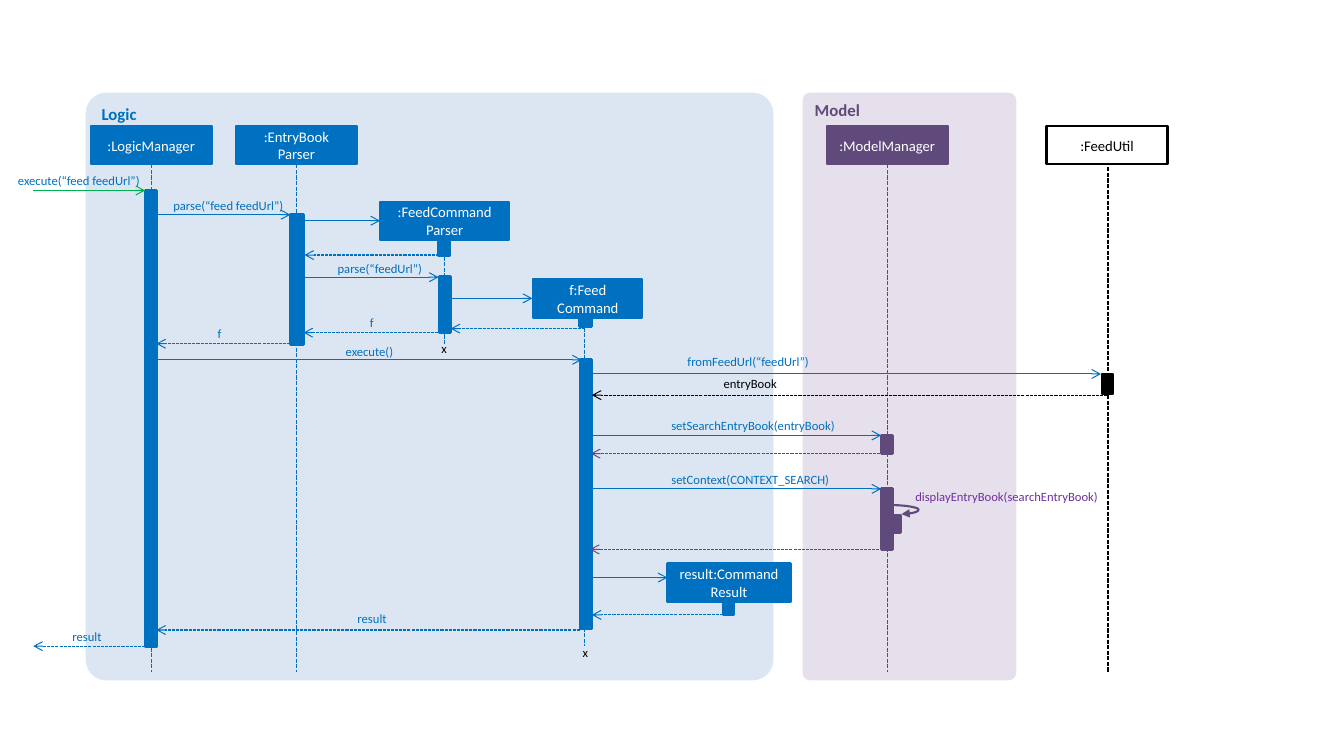
from lxml import etree
from pptx import Presentation, util as u
from pptx.dml.color import RGBColor
from pptx.enum import dml, shapes, text
from pptx.oxml.ns import qn

BLUE = RGBColor(0x00, 0x70, 0xC0)
PALE = RGBColor(0xDC, 0xE6, 0xF2)
PLUM = RGBColor(0x60, 0x4A, 0x7B)
LILAC = RGBColor(0xE6, 0xE0, 0xEC)
VIOLET = RGBColor(0x70, 0x30, 0xA0)
GREEN = RGBColor(0x00, 0xB0, 0x50)
BLACK = RGBColor(0, 0, 0)
WHITE = RGBColor(255, 255, 255)
INCH = 2.54  # centimetres per grid unit
LEFT, MID = text.PP_ALIGN.LEFT, text.PP_ALIGN.CENTER
RECT, ROUND = shapes.MSO_SHAPE.RECTANGLE, shapes.MSO_SHAPE.ROUNDED_RECTANGLE

deck = Presentation()
deck.slide_width, deck.slide_height = u.Cm(13.33 * INCH), u.Cm(7.5 * INCH)
slide = deck.slides.add_slide(deck.slide_layouts[6])


def put(at, words="", size=9, ink=BLUE, align=LEFT, kind=None, fill=None, edge=None, wide=0):
    """Add a filled shape, or a plain text box when no kind is given."""
    spot = [u.Cm(n * INCH) for n in at]
    if kind is None:
        item = slide.shapes.add_textbox(*spot)
    else:
        item = slide.shapes.add_shape(kind, *spot)
        item.shadow.inherit = False
        item.fill.solid()
        item.fill.fore_color.rgb = fill
        if edge is None:
            item.line.fill.background()
        else:
            item.line.color.rgb = edge
            item.line.width = u.Pt(wide)
    if words:
        frame = item.text_frame
        frame.word_wrap = True
        frame.text = words
        frame.vertical_anchor = text.MSO_ANCHOR.MIDDLE if kind == RECT else text.MSO_ANCHOR.TOP
        para = frame.paragraphs[0]
        para.alignment = align
        font = para.runs[0].font
        font.name, font.size, font.bold = "Calibri", u.Pt(size), kind == ROUND
        font.color.rgb = ink
    return item


def link(x1, y1, x2, y2, hue, wide, dash=False, tip=None, kind=shapes.MSO_CONNECTOR.STRAIGHT):
    """Add a line, dashed or with an arrow tip if asked."""
    wire = slide.shapes.add_connector(kind, *[u.Cm(n * INCH) for n in (x1, y1, x2, y2)])
    wire.line.color.rgb = hue
    wire.line.width = u.Pt(wide)
    if dash:
        wire.line.dash_style = dml.MSO_LINE.SQUARE_DOT
    prop = wire._element.spPr
    if tip:
        etree.SubElement(prop.find(qn("a:ln")), qn("a:tailEnd"), type=tip)
    etree.SubElement(prop, qn("a:effectLst"))
    return wire


# Panels
for x, w, words, fill, ink in [(0.85, 6.82, "Logic", PALE, BLUE), (7.96, 2.12, "Model", LILAC, PLUM)]:
    panel = put((x, 0.92, w, 5.83), words, 12, ink, kind=ROUND, fill=fill)
    panel.adjustments[0] = 0.035

# Lifelines: x, top, bottom
for x, top, end, hue in [
    (1.5, 1.63, 6.67, BLUE),
    (2.94, 1.63, 6.67, BLUE),
    (4.41, 2.38, 3.42, BLUE),
    (5.8, 3.25, 6.41, BLUE),
    (8.8, 1.63, 6.67, PLUM),
    (10.99, 1.66, 6.67, BLACK),
]:
    link(x, top, x, end, hue, 1, dash=True)

# Activation bars: x, top, width, height
for x, y, w, h, hue in [
    (1.44, 1.89, 0.11, 4.53, BLUE),
    (2.88, 2.13, 0.13, 1.29, BLUE),
    (4.35, 2.37, 0.11, 0.17, BLUE),
    (4.36, 2.74, 0.11, 0.56, BLUE),
    (5.75, 3.16, 0.12, 0.08, BLUE),
    (5.76, 3.57, 0.11, 2.67, BLUE),
    (7.17, 5.93, 0.11, 0.17, BLUE),
    (8.74, 4.32, 0.11, 0.18, PLUM),
    (8.74, 4.85, 0.11, 0.6, PLUM),
    (8.82, 5.11, 0.11, 0.17, PLUM),
    (10.93, 3.71, 0.11, 0.2, BLACK),
]:
    put((x, y, w, h), kind=RECT, fill=hue, edge=hue, wide=2)

# Object boxes
for x, y, w, words, fill, edge, ink in [
    (0.9, 1.25, 1.2, ":LogicManager", BLUE, BLUE, WHITE),
    (2.34, 1.25, 1.2, ":EntryBook Parser", BLUE, BLUE, WHITE),
    (3.77, 2, 1.28, ":FeedCommand Parser", BLUE, BLUE, WHITE),
    (5.29, 2.77, 1.08, "f:Feed Command", BLUE, BLUE, WHITE),
    (6.62, 5.59, 1.22, "result:Command Result", BLUE, BLUE, WHITE),
    (8.2, 1.25, 1.2, ":ModelManager", PLUM, PLUM, WHITE),
    (10.38, 1.25, 1.2, ":FeedUtil", WHITE, BLACK, BLACK),
]:
    put((x, y, w, 0.38), words, 10.5, ink, MID, RECT, fill, edge, 1.5)

# Messages: calls run right and solid, replies run left and dashed
for x1, x2, y, hue in [
    (0.33, 1.44, 1.89, GREEN),
    (1.55, 2.88, 2.13, BLUE),
    (3.02, 3.77, 2.19, BLUE),
    (4.36, 3.02, 2.53, BLUE),
    (3.02, 4.35, 2.75, BLUE),
    (4.42, 5.28, 2.96, BLUE),
    (5.8, 4.47, 3.26, BLUE),
    (4.35, 3.01, 3.3, BLUE),
    (2.88, 1.55, 3.41, BLUE),
    (1.5, 5.77, 3.57, BLUE),
    (5.82, 10.92, 3.71, BLUE),
    (10.98, 5.87, 3.92, BLACK),
    (5.83, 8.74, 4.32, BLUE),
    (8.73, 5.86, 4.5, PLUM),
    (5.82, 8.74, 4.85, BLUE),
    (8.72, 5.85, 5.45, PLUM),
    (5.86, 6.62, 5.73, BLUE),
    (7.17, 5.87, 6.1, BLUE),
    (5.75, 1.55, 6.25, BLUE),
    (1.44, 0.33, 6.41, BLUE),
]:
    link(x1, y, x2, y, hue, 0.75, dash=x2 < x1, tip="arrow")

# Self call
loop = link(8.82, 5.01, 8.94, 5.1, PLUM, 1.5, tip="triangle", kind=shapes.MSO_CONNECTOR.CURVE)
bend = loop._element.spPr.find(qn("a:prstGeom")).get_or_add_avLst()
etree.SubElement(bend, qn("a:gd"), name="adj1", fmla="val 242100")

# Message labels
for x, y, w, words, ink, align in [
    (0.08, 1.67, 1.58, "execute(“feed feedUrl”)", BLUE, LEFT),
    (1.62, 1.91, 1.49, "parse(“feed feedUrl”)", BLUE, LEFT),
    (3.25, 2.54, 1.22, "parse(“feedUrl”)", BLUE, LEFT),
    (3.57, 3.07, 0.3, "f", BLUE, LEFT),
    (2.06, 3.18, 0.34, "f", BLUE, LEFT),
    (4.28, 3.33, 0.24, "x", BLACK, LEFT),
    (3.33, 3.36, 1.22, "execute()", BLUE, LEFT),
    (6.72, 3.46, 1.47, "fromFeedUrl(“feedUrl”)", BLUE, LEFT),
    (7.08, 3.68, 1.47, "entryBook", BLACK, LEFT),
    (6.56, 4.1, 1.93, "setSearchEntryBook(entryBook)", BLUE, LEFT),
    (6.11, 4.63, 2.66, "setContext(CONTEXT_SEARCH)", BLUE, MID),
    (8.98, 4.8, 2.1, "displayEntryBook(searchEntryBook)", VIOLET, LEFT),
    (3.08, 6.01, 1.22, "result", BLUE, MID),
    (0.62, 6.19, 1.22, "result", BLUE, LEFT),
    (5.68, 6.35, 0.24, "x", BLACK, LEFT),
]:
    put((x, y, w, 0.25), words, ink=ink, align=align)

deck.save("out.pptx")
